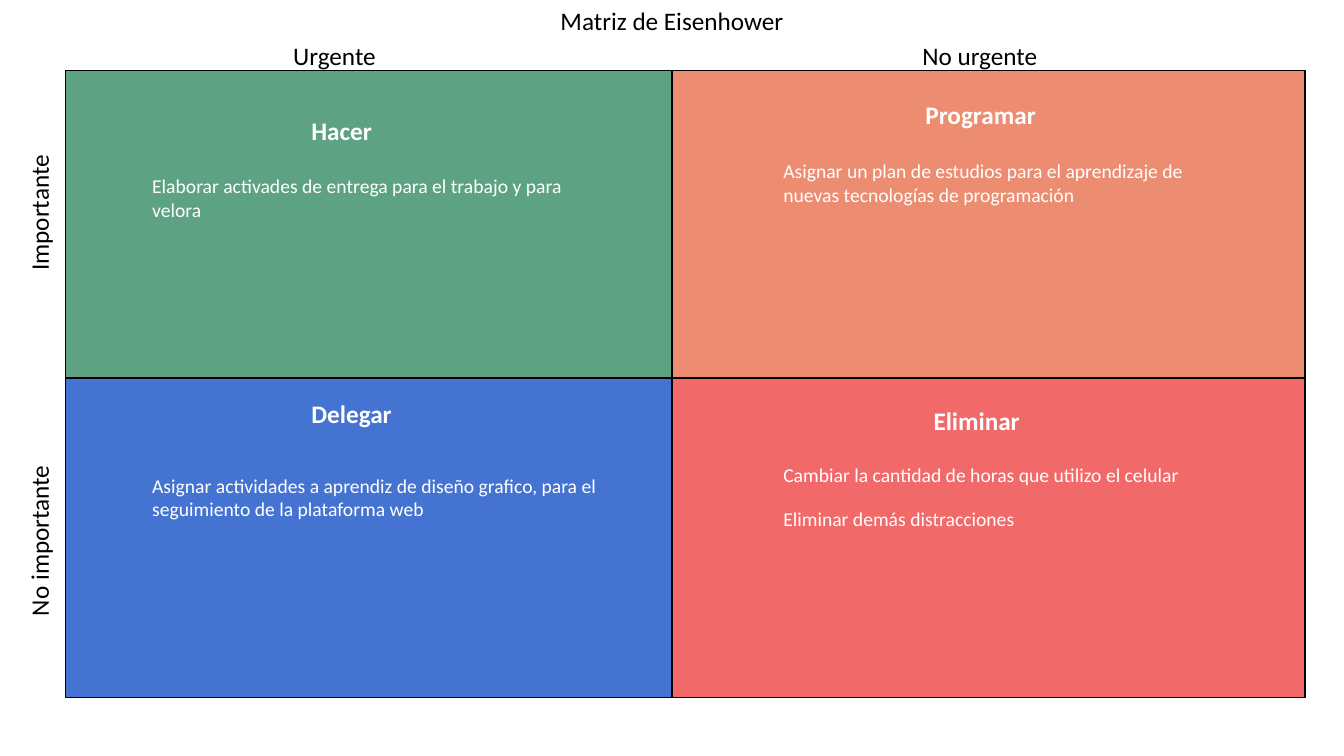
from dataclasses import dataclass

from pptx import Presentation
from pptx.dml.color import RGBColor
from pptx.enum.shapes import MSO_SHAPE
from pptx.enum.text import MSO_ANCHOR, MSO_AUTO_SIZE, PP_ALIGN
from pptx.util import Inches, Pt

RECT = MSO_SHAPE.RECTANGLE
TOP = MSO_ANCHOR.TOP
GROW = MSO_AUTO_SIZE.SHAPE_TO_FIT_TEXT
LEFT, MID = PP_ALIGN.LEFT, PP_ALIGN.CENTER


@dataclass(frozen=True)
class Theme:
    font: str = "Calibri"
    head: int = 18
    note: int = 14
    edge: int = 1
    ink: str = "000000"
    pale: str = "FFFFFF"
    green: str = "5DA283"
    coral: str = "EC8D71"
    blue: str = "4573D1"
    red: str = "F16A69"


THEME = Theme()
WIDE, HIGH = Inches(13.33), Inches(7.5)
COLS = (4.88, 50, 97.1)
ROWS = (9.33, 50, 92.27)
LINE = 5.33
NOTE_WIDE = 35.48

HEADS = (("Urgente", 16.2, 8.55), ("No urgente", 17.89, 11.03))
SIDES = (("Importante", 17.34, 11.78), ("No importante", 21.07, 13.2))
QUADS = (
    (0, 0, THEME.green, ("Hacer", 17.55, 5.2, 7.2), 5.7,
     ((13.07, 7.6, "Elaborar activades de entrega para el trabajo y para velora"),)),
    (0, 1, THEME.blue, ("Delegar", 17.55, 2, 8.25), 5.7,
     ((12, 7.6, "Asignar actividades a aprendiz de diseño grafico, "
                "para el seguimiento de la plataforma web"),)),
    (1, 1, THEME.red, ("Eliminar", 18.72, 2.93, 9.68), 7.54,
     ((10.53, 4.53, "Cambiar la cantidad de horas que utilizo el celular"),
      (16.4, 4.53, "Eliminar demás distracciones"))),
    (1, 0, THEME.coral, ("Programar", 18.12, 3.2, 11.03), 7.54,
     ((11.07, 7.6, "Asignar un plan de estudios para el aprendizaje "
                   "de nuevas tecnologías de programación"),)),
)


def place(x, y, w, h):
    return (round(x * WIDE / 100), round(y * HIGH / 100),
            round(w * WIDE / 100), round(h * HIGH / 100))


def write(shape, text, size, color, bold=False, align=LEFT):
    frame = shape.text_frame
    frame.word_wrap = True
    frame.auto_size = GROW
    frame.vertical_anchor = TOP
    line = frame.paragraphs[0]
    line.text = text
    line.alignment = align
    font = line.font
    font.name, font.size, font.bold = THEME.font, Pt(size), bold
    font.color.rgb = RGBColor.from_string(color)


def label(slide, box, text, size=THEME.head, color=THEME.ink, bold=False):
    shape = slide.shapes.add_textbox(*place(*box))
    write(shape, text, size, color, bold)
    return shape


def title(slide, box, text):
    shape = slide.shapes.title
    shape.left, shape.top, shape.width, shape.height = place(*box)
    write(shape, text, THEME.head, THEME.ink, align=MID)


def axes(slide, box):
    left, top = box[:2]
    for start, (text, dx, wide) in zip(COLS, HEADS):
        label(slide, (start + dx, top, wide, LINE), text)
    for start, (text, dy, wide) in zip(ROWS, SIDES):
        side = label(slide, (left - wide / 2, start + dy - LINE / 2, wide, LINE), text)
        side.rotation = 270


def quad(slide, box, fill, head, inset, notes):
    x, y = box[:2]
    tile = slide.shapes.add_shape(RECT, *place(*box))
    tile.shadow.inherit = False
    tile.fill.solid()
    tile.fill.fore_color.rgb = RGBColor.from_string(fill)
    tile.line.color.rgb = RGBColor.from_string(THEME.ink)
    tile.line.width = Pt(THEME.edge)
    text, dx, dy, wide = head
    label(slide, (x + dx, y + dy, wide, LINE), text, color=THEME.pale, bold=True)
    for dy, high, text in notes:
        label(slide, (x + inset, y + dy, NOTE_WIDE, high), text, THEME.note, THEME.pale)


def matrix(slide):
    for col, row, *parts in QUADS:
        x, y = COLS[col], ROWS[row]
        quad(slide, (x, y, COLS[col + 1] - x, ROWS[row + 1] - y), *parts)


deck = Presentation()
deck.slide_width, deck.slide_height = WIDE, HIGH
page = deck.slides.add_slide(deck.slide_layouts[5])
title(page, (40.43, 0, 19.13, LINE), "Matriz de Eisenhower")
matrix(page)
axes(page, (2.9, 4.67))
deck.save("out.pptx")
